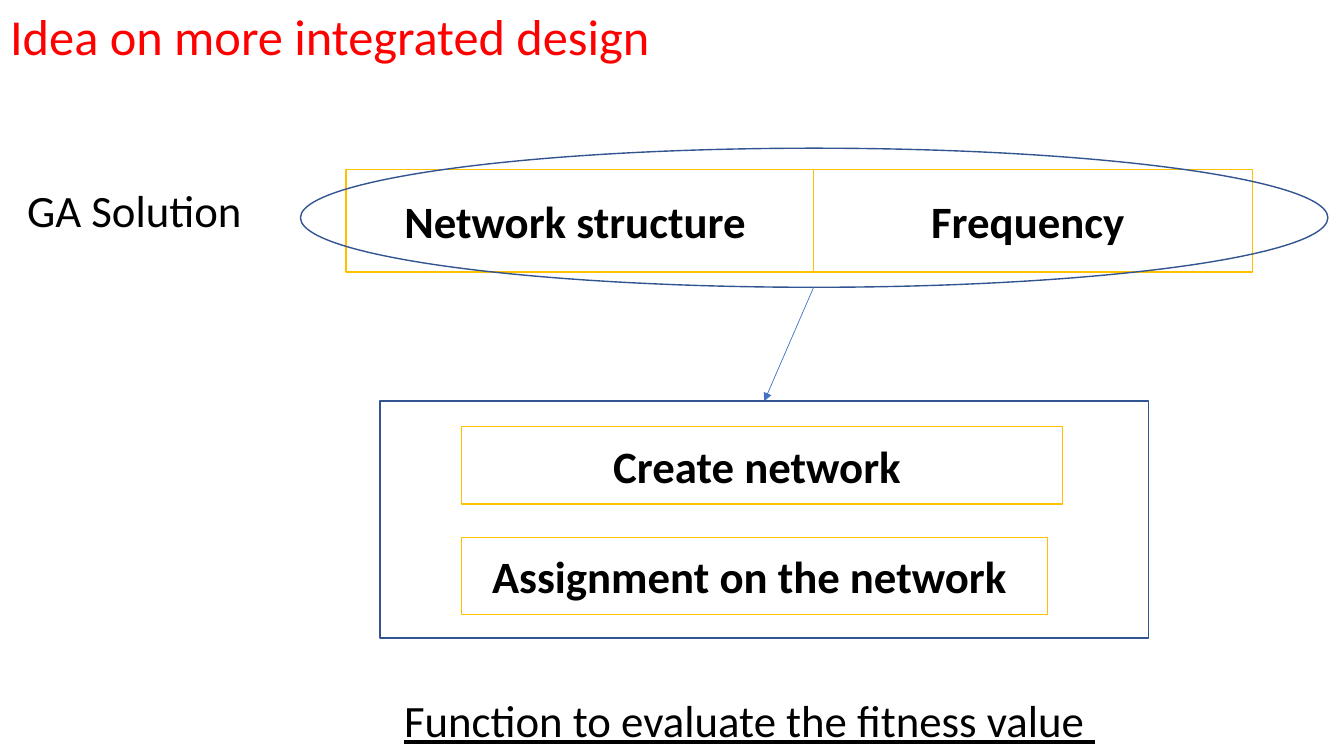
"""Build the slide on a more integrated design."""
from dataclasses import dataclass

from lxml import etree
from pptx import Presentation
from pptx import util as u
from pptx.dml.color import RGBColor
from pptx.enum import shapes, text
from pptx.oxml.ns import qn


@dataclass(frozen=True)
class Theme:
    """Colours, font and type sizes of the slide."""
    font: str = "Calibri"
    head: int = 36
    body: int = 32
    red: str = "FF0000"
    ink: str = "000000"
    paper: str = "FFFFFF"
    gold: str = "FFC000"
    navy: str = "325491"
    blue: str = "4472C4"


THEME = Theme()


def place(box):
    """Turn numbers into lengths in inches."""
    return [u.Inches(n) for n in box]


def write(shape, words, size=THEME.body, color=THEME.ink,
          align=text.PP_ALIGN.LEFT, anchor=text.MSO_ANCHOR.TOP, **style):
    """Put one formatted line of text in a shape."""
    frame = shape.text_frame
    frame.word_wrap = True
    frame.auto_size = text.MSO_AUTO_SIZE.NONE
    frame.vertical_anchor = anchor
    para = frame.paragraphs[0]
    para.alignment = align
    run = para.add_run()
    run.text = words
    look = {"name": THEME.font, "size": u.Pt(size), **style}
    for key, value in look.items():
        setattr(run.font, key, value)
    run.font.color.rgb = RGBColor.from_string(color)


def title(slide, words, box):
    """Move and fill the title placeholder."""
    head = slide.shapes.title
    for key, value in zip(("left", "top", "width", "height"), place(box)):
        setattr(head, key, value)
    write(head, words, THEME.head, THEME.red)


def label(slide, words, box, **style):
    """Add a plain line of text."""
    write(slide.shapes.add_textbox(*place(box)), words, **style)


def frame(slide, kind, box, color, fill=None):
    """Add an outlined shape, filled or clear."""
    shape = slide.shapes.add_shape(kind, *place(box))
    shape.shadow.inherit = False
    if fill:
        shape.fill.solid()
        shape.fill.fore_color.rgb = RGBColor.from_string(fill)
    else:
        shape.fill.background()
    shape.line.color.rgb = RGBColor.from_string(color)
    shape.line.width = u.Pt(1)
    return shape


def block(slide, words, box):
    """Add a gold box with bold centred text."""
    shape = frame(slide, shapes.MSO_SHAPE.RECTANGLE, box,
                  THEME.gold, THEME.paper)
    write(shape, words, align=text.PP_ALIGN.CENTER,
          anchor=text.MSO_ANCHOR.MIDDLE, bold=True)


def arrow(slide, start, end):
    """Add a thin arrow between two points."""
    link = slide.shapes.add_connector(
        shapes.MSO_CONNECTOR.STRAIGHT, *place(start + end))
    link.line.color.rgb = RGBColor.from_string(THEME.blue)
    link.line.width = u.Pt(0.5)
    etree.SubElement(link.line._get_or_add_ln(), qn("a:tailEnd"),
                     type="triangle")
    etree.SubElement(link._element.spPr, qn("a:effectLst"))


def main():
    """Build and save the slide."""
    deck = Presentation()
    deck.slide_width, deck.slide_height = place((13.33, 7.5))
    slide = deck.slides.add_slide(deck.slide_layouts.get_by_name("Title Only"))
    title(slide, "Idea on more integrated design ", (0, 0, 7.58, 0.71))

    genes = (("Network structure ", 3.43, 4.65), ("Frequency ", 8.07, 4.35))
    for words, left, width in genes:
        block(slide, words, (left, 1.68, width, 1.02))
    frame(slide, shapes.MSO_SHAPE.OVAL, (2.98, 1.47, 10.19, 1.38), THEME.navy)
    label(slide, "GA Solution", (0.17, 1.76, 2.96, 0.64))

    steps = (("Create network ", 5.96), ("Assignment on the network ", 5.81))
    for row, (words, width) in enumerate(steps):
        block(slide, words, (4.58, 4.23 + 1.1 * row, width, 0.77))
    arrow(slide, (8.07, 2.85), (7.58, 3.98))
    frame(slide, shapes.MSO_SHAPE.RECTANGLE, (3.77, 3.98, 7.62, 2.35),
          THEME.navy)
    label(slide, "Function to evaluate the fitness value ",
          (3.91, 6.82, 7.16, 0.64), underline=True)
    deck.save("out.pptx")


main()
